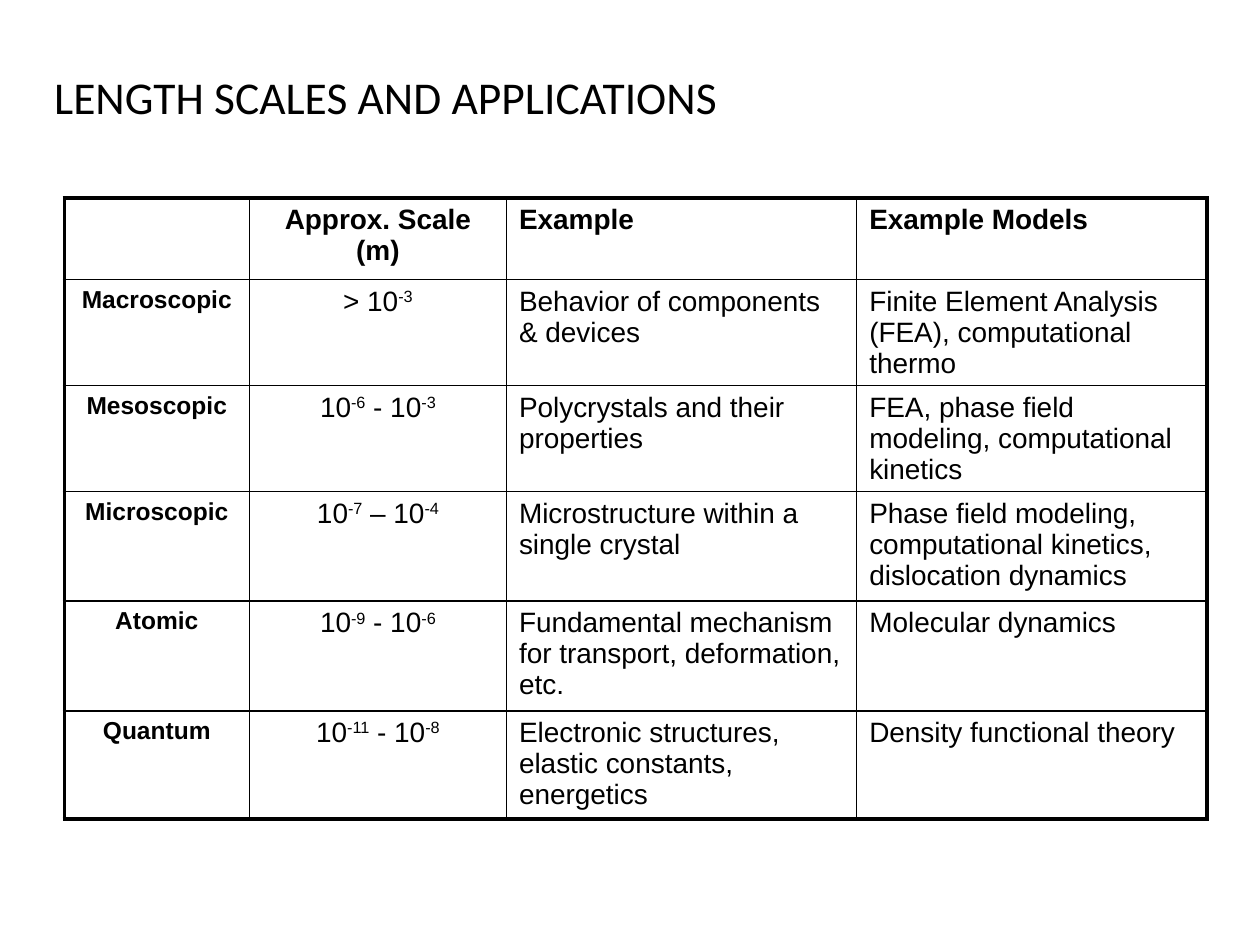
from lxml.etree import SubElement
from pptx import Presentation
from pptx.dml.color import RGBColor
from pptx.enum.text import MSO_ANCHOR as Anchor, MSO_AUTO_SIZE as AutoSize, PP_ALIGN as Align
from pptx.oxml.ns import qn
from pptx.util import Inches, Pt

BLACK = "000000"
THIN, THICK = 1, 2.25


def style(font, color=BLACK, **values):
    for name, value in values.items():
        setattr(font, name, value)
    font.color.rgb = RGBColor.from_string(color)


def add_border(cell, side, width):
    line = SubElement(cell._tc.get_or_add_tcPr(), qn(f"a:ln{side}"), w=str(Pt(width)))
    fill = SubElement(line, qn("a:solidFill"))
    SubElement(fill, qn("a:srgbClr"), val=BLACK)


deck = Presentation()
deck.slide_width, deck.slide_height = Inches(10), Inches(7.5)
page = deck.slides.add_slide(deck.slide_layouts[5])

title = page.shapes.title
title.left, title.top = Inches(0.33), Inches(0.17)
title.width, title.height = Inches(9.25), Inches(1.25)
title.text_frame.text = "LENGTH SCALES AND APPLICATIONS"
title.text_frame.auto_size = AutoSize.NONE
title.text_frame.vertical_anchor = Anchor.MIDDLE
para = title.text_frame.paragraphs[0]
para.alignment, para.line_spacing = Align.LEFT, 0.9
style(para.runs[0].font, name="Calibri", size=Pt(26))

# In the scale column, every second piece between carets is superscript.
scale_rows = [
    ["", "Approx. Scale (m)", "Example", "Example Models"],
    ["Macroscopic", "> 10^-3", "Behavior of components & devices",
     "Finite Element Analysis (FEA), computational thermo"],
    ["Mesoscopic", "10^-6^ - 10^-3", "Polycrystals and their properties",
     "FEA, phase field modeling, computational kinetics"],
    ["Microscopic", "10^-7^ – 10^-4", "Microstructure within a single crystal",
     "Phase field modeling, computational kinetics, dislocation dynamics"],
    ["Atomic", "10^-9^ - 10^-6", "Fundamental mechanism for transport, deformation, etc.",
     "Molecular dynamics"],
    ["Quantum", "10^-11^ - 10^-8", "Electronic structures, elastic constants, energetics",
     "Density functional theory"],
]
column_widths = [1.47, 2.04, 2.78, 2.78]
row_heights = [0.65, 0.82, 0.81, 0.87, 0.87, 0.86]
last_row, last_column = len(row_heights) - 1, len(column_widths) - 1

table = page.shapes.add_table(
    len(row_heights), len(column_widths), Inches(0.51), Inches(1.57),
    Inches(sum(column_widths)), Inches(sum(row_heights))).table
table.first_row = table.horz_banding = False
for column, width in zip(table.columns, column_widths):
    column.width = Inches(width)
for row, height in zip(table.rows, row_heights):
    row.height = Inches(height)

for r, texts in enumerate(scale_rows):
    for c, text in enumerate(texts):
        cell = table.cell(r, c)
        outer_sides = {"L": c == 0, "R": c == last_column, "T": r == 0, "B": r == last_row}
        for side, outer in outer_sides.items():
            add_border(cell, side, THICK if outer else THIN)
        cell.fill.background()
        para = cell.text_frame.paragraphs[0]
        para.alignment = Align.CENTER if c < 2 else Align.LEFT
        pieces = text.split("^") if text else []
        for index, piece in enumerate(pieces):
            span = para.add_run()
            span.text = piece
            style(span.font, name="Arial", size=Pt(14 if c == 0 else 16),
                  bold=r == 0 or c == 0)
            if index % 2:
                span._r.get_or_add_rPr().set("baseline", "30000")

deck.save("out.pptx")
